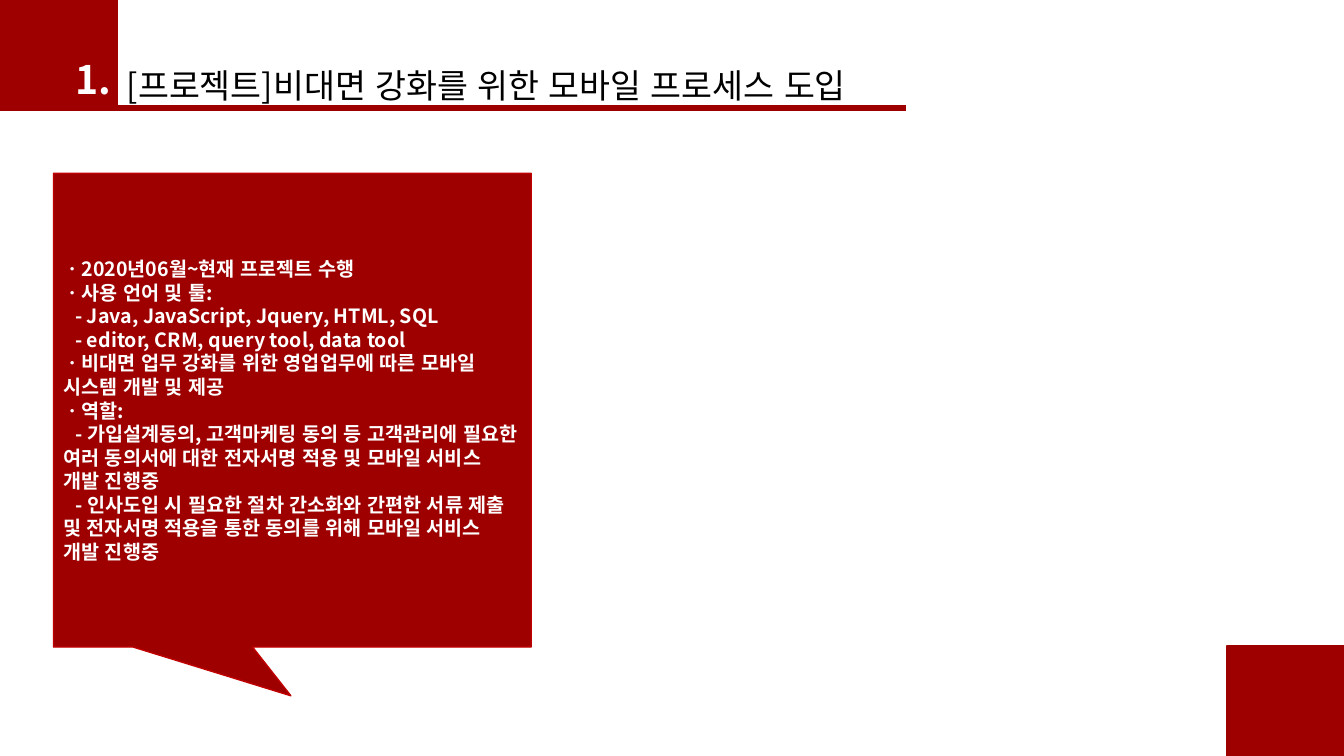
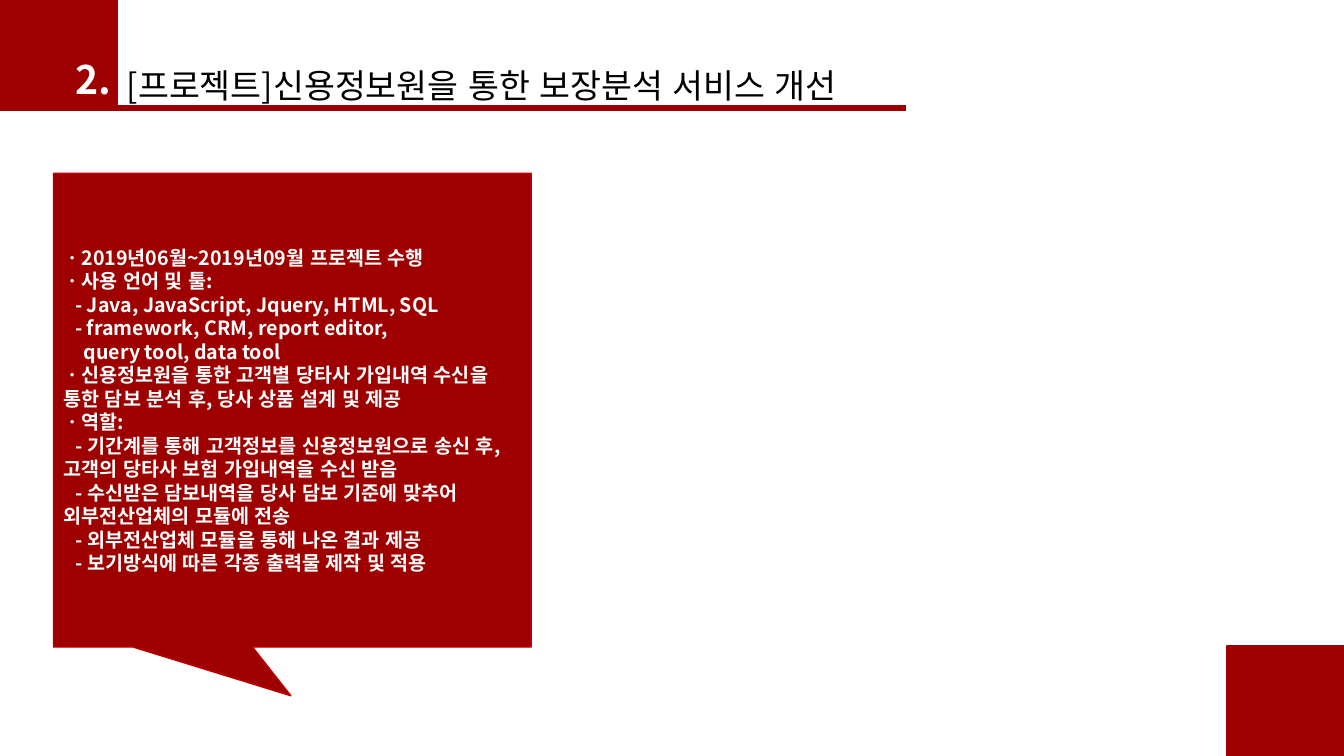
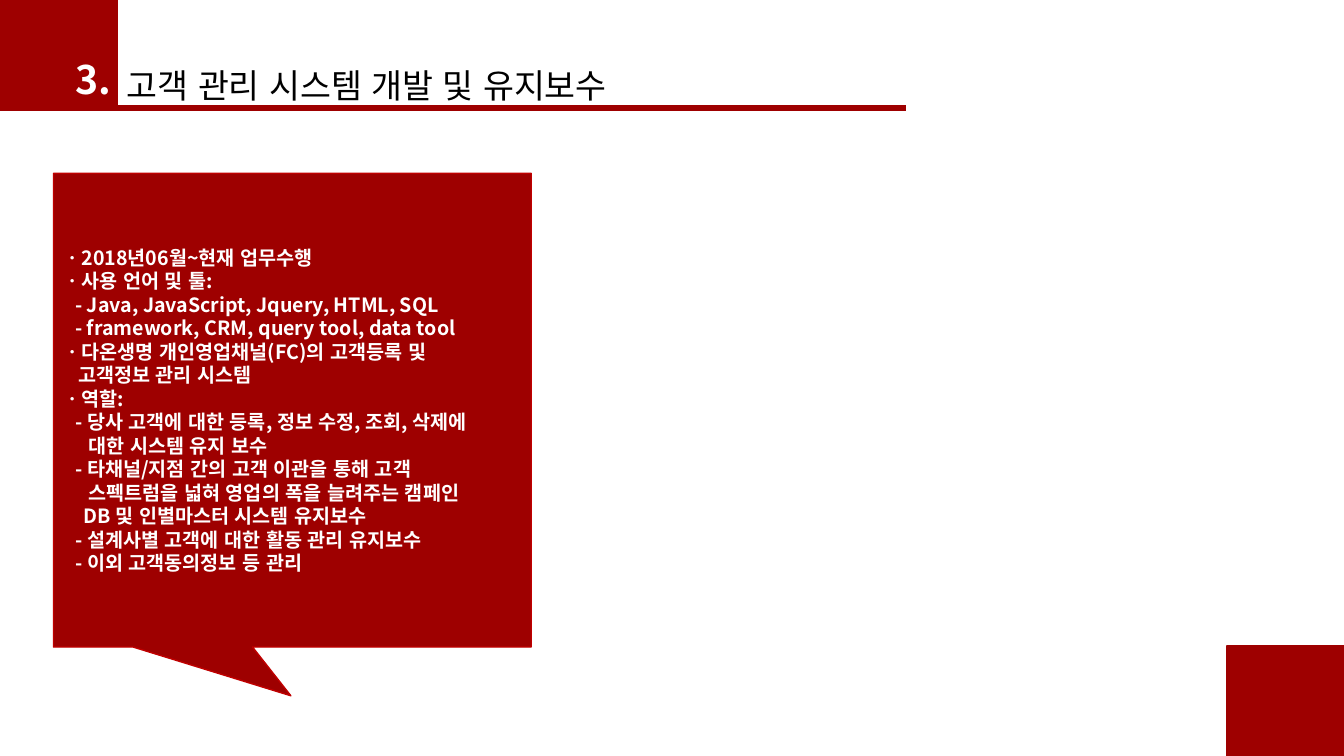
"""Builds three project history slides with a shared red frame and callout."""
import pptx
import pptx.util
import pptx.dml.color
import pptx.enum.dml
import pptx.enum.lang
import pptx.enum.shapes
import pptx.enum.text
import pptx.oxml.ns
from dataclasses import dataclass
from lxml import etree

Pt = pptx.util.Pt
RGB = pptx.dml.color.RGBColor.from_string
SHAPE = pptx.enum.shapes.MSO_SHAPE
qn = pptx.oxml.ns.qn


@dataclass(frozen=True)
class Theme:
    """Colours, font and type sizes."""
    red: str = "9E0000"
    edge: str = "C00000"
    ink: str = "000000"
    paper: str = "FFFFFF"
    font: str = "Noto Sans CJK KR"
    title: int = 24
    number: int = 28
    body: int = 14
    thin: float = 1
    rule: float = 4.5


T = Theme()

SLIDES = [
    ("[프로젝트]비대면 강화를 위한 모바일 프로세스 도입", [
        ("item", "ㆍ2020년06월~현재 프로젝트 수행"),
        ("item", "ㆍ사용 언어 및 툴:"),
        ("dash", "- Java, JavaScript, Jquery, HTML, SQL"),
        ("dash", "- editor, CRM, query tool, data tool"),
        ("item", "ㆍ비대면 업무 강화를 위한 영업업무에 따른 모바일 시스템 개발 및 제공"),
        ("item", "ㆍ역할:"),
        ("dash", "- 가입설계동의, 고객마케팅 동의 등 고객관리에 필요한 여러 동의서에 "
                 "대한 전자서명 적용 및 모바일 서비스 개발 진행중"),
        ("dash", "- 인사도입 시 필요한 절차 간소화와 간편한 서류 제출 및 전자서명 "
                 "적용을 통한 동의를 위해 모바일 서비스 개발 진행중"),
    ]),
    ("[프로젝트]신용정보원을 통한 보장분석 서비스 개선", [
        ("item", "ㆍ2019년06월~2019년09월 프로젝트 수행"),
        ("item", "ㆍ사용 언어 및 툴:"),
        ("dash", "- Java, JavaScript, Jquery, HTML, SQL"),
        ("dash", "- framework, CRM, report editor,"),
        ("latin", "query tool, data tool"),
        ("item", "ㆍ신용정보원을 통한 고객별 당타사 가입내역 수신을 통한 담보 분석 후, "
                 "당사 상품 설계 및 제공"),
        ("item", "ㆍ역할:"),
        ("dash", "- 기간계를 통해 고객정보를 신용정보원으로 송신 후, 고객의 당타사 "
                 "보험 가입내역을 수신 받음"),
        ("dash", "- 수신받은 담보내역을 당사 담보 기준에 맞추어 외부전산업체의 모듈에 전송"),
        ("dash", "- 외부전산업체 모듈을 통해 나온 결과 제공"),
        ("dash", "- 보기방식에 따른 각종 출력물 제작 및 적용"),
    ]),
    ("고객 관리 시스템 개발 및 유지보수", [
        ("item", "ㆍ2018년06월~현재 업무수행"),
        ("item", "ㆍ사용 언어 및 툴:"),
        ("dash", "- Java, JavaScript, Jquery, HTML, SQL"),
        ("dash", "- framework, CRM, query tool, data tool"),
        ("item", "ㆍ다온생명 개인영업채널(FC)의 고객등록 및"),
        ("wrap", "고객정보 관리 시스템"),
        ("item", "ㆍ역할:"),
        ("dash", "- 당사 고객에 대한 등록, 정보 수정, 조회, 삭제에"),
        ("hangul", "대한 시스템 유지 보수"),
        ("dash", "- 타채널/지점 간의 고객 이관을 통해 고객"),
        ("hangul", "스펙트럼을 넓혀 영업의 폭을 늘려주는 캠페인"),
        ("latin", "DB 및 인별마스터 시스템 유지보수"),
        ("dash", "- 설계사별 고객에 대한 활동 관리 유지보수"),
        ("dash", "- 이외 고객동의정보 등 관리"),
    ]),
]

INDENT = {"item": 0, "dash": 8.5, "wrap": 10.5, "latin": 14.5, "hangul": 18}
WIDTH, HEIGHT = 960, 540
CORNER_W, CORNER_H = 83.5, 78.5
RULE_X1, RULE_X2, RULE_Y = 63.5, 647.5, 77
TITLE_BOX = (CORNER_W, 42.5, 580, 36)
NUMBER_BOX = (46.8, 36, 74, 41)
CALLOUT_BOX = (38.2, 123.8, 341.3, 338.4)
CALLOUT_TIP = (-0.003, 0.603)


def add_run(p, text, size, color, bold=False):
    r = p.add_run()
    r.text = text
    r.font.size = Pt(size)
    r.font.bold = bold
    r.font.name = T.font
    r.font.color.rgb = RGB(color)
    r.font.language_id = pptx.enum.lang.MSO_LANGUAGE_ID.KOREAN
    latin = r.font._element.find(qn("a:latin"))
    ea = etree.Element(qn("a:ea"), typeface=T.font)
    latin.addnext(ea)


def add_block(s, kind, box, edge):
    sp = s.shapes.add_shape(kind, *map(Pt, box))
    sp.shadow.inherit = False
    sp.fill.solid()
    sp.fill.fore_color.rgb = RGB(T.red)
    sp.line.color.rgb = RGB(edge)
    sp.line.width = Pt(T.thin)
    return sp


def add_label(s, box, text, size, color, bold=False):
    tf = s.shapes.add_textbox(*map(Pt, box)).text_frame
    tf.word_wrap = True
    tf.auto_size = pptx.enum.text.MSO_AUTO_SIZE.SHAPE_TO_FIT_TEXT
    add_run(tf.paragraphs[0], text, size, color, bold)


def add_frame(s):
    for x, y in ((0, 0), (WIDTH - CORNER_W, HEIGHT - CORNER_H)):
        add_block(s, SHAPE.RECTANGLE, (x, y, CORNER_W, CORNER_H), T.red)
    rule = s.shapes.add_connector(pptx.enum.shapes.MSO_CONNECTOR.STRAIGHT,
                                  Pt(RULE_X1), Pt(RULE_Y), Pt(RULE_X2), Pt(RULE_Y))
    rule.line.color.rgb = RGB(T.red)
    rule.line.width = Pt(T.rule)
    etree.SubElement(rule._element.spPr, qn("a:effectLst"))


def add_callout(s, lines):
    sp = add_block(s, SHAPE.RECTANGULAR_CALLOUT, CALLOUT_BOX, T.edge)
    for i, value in enumerate(CALLOUT_TIP):
        sp.adjustments[i] = value
    tf = sp.text_frame
    tf.word_wrap = True
    tf.vertical_anchor = pptx.enum.text.MSO_ANCHOR.MIDDLE
    for i, (level, text) in enumerate(lines):
        p = tf.add_paragraph() if i else tf.paragraphs[0]
        p.alignment = pptx.enum.text.PP_ALIGN.LEFT
        pPr = p._p.get_or_add_pPr()
        pPr.set("marL", "0")
        pPr.set("indent", str(int(Pt(INDENT[level]))))
        add_run(p, text, T.body, T.paper, True)


prs = pptx.Presentation()
prs.slide_width, prs.slide_height = Pt(WIDTH), Pt(HEIGHT)
for number, (title, lines) in enumerate(SLIDES, 1):
    s = prs.slides.add_slide(prs.slide_layouts[6])
    add_frame(s)
    add_label(s, TITLE_BOX, title, T.title, T.ink)
    add_callout(s, lines)
    add_label(s, NUMBER_BOX, f"{number}.", T.number, T.paper, True)
prs.save("out.pptx")
